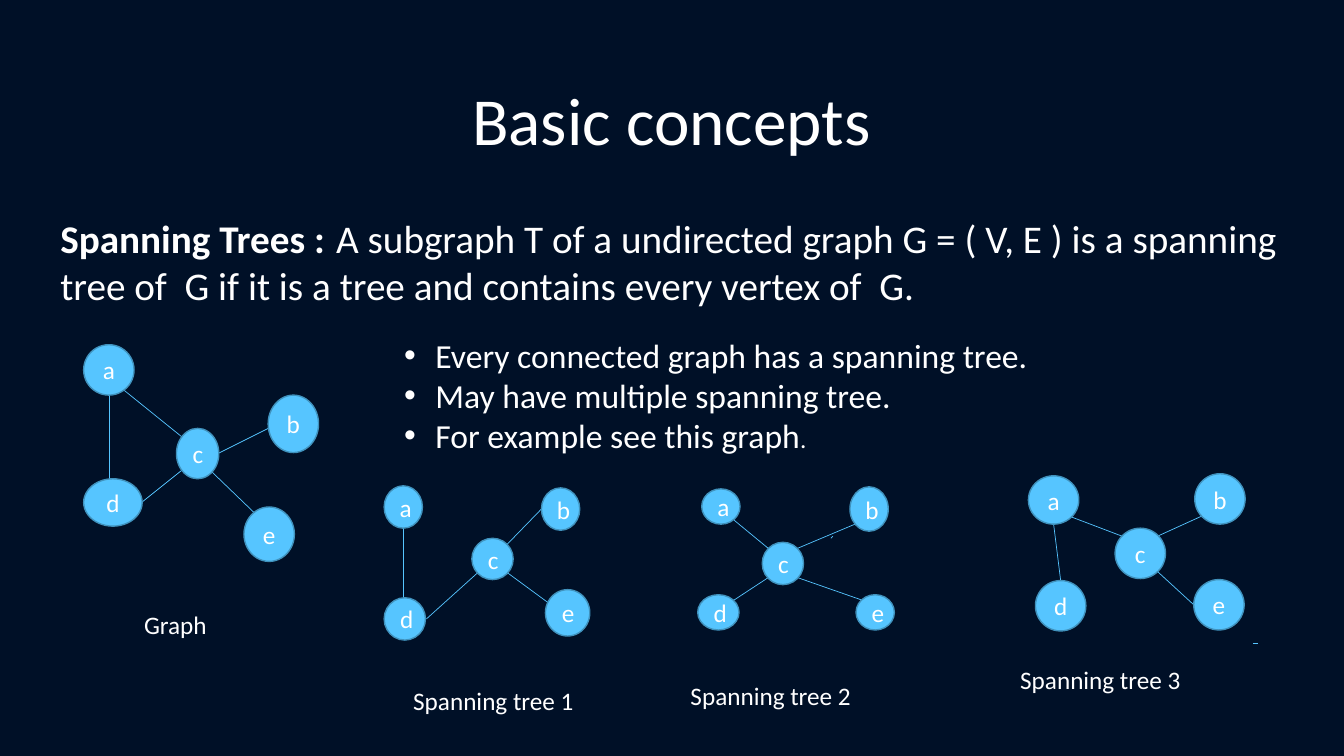
from lxml import etree
from pptx import Presentation
from pptx.dml.color import RGBColor
from pptx.enum.shapes import MSO_CONNECTOR, MSO_SHAPE
from pptx.enum.text import MSO_ANCHOR, PP_ALIGN
from pptx.oxml.ns import qn
from pptx.util import Inches, Pt

COLORS = {"background": "001027", "node": "56C5FF", "outline": "4092BD", "text": "FFFFFF"}
COLORS = {name: RGBColor.from_string(value) for name, value in COLORS.items()}


def write(para, text, size=18, bold=False, align=PP_ALIGN.LEFT):
    para.alignment = align
    span = para.add_run()
    span.text = text
    span.font.name = "Calibri"
    span.font.size = Pt(size)
    span.font.bold = bold
    span.font.color.rgb = COLORS["text"]


def add_box(left, top, width, height):
    box = page.shapes.add_textbox(*map(Inches, (left, top, width, height)))
    box.text_frame.word_wrap = True
    return box.text_frame


deck = Presentation()
deck.slide_width, deck.slide_height = Inches(13.33), Inches(7.5)
page = deck.slides.add_slide(deck.slide_layouts[6])
page.background.fill.solid()
page.background.fill.fore_color.rgb = COLORS["background"]

# Title and definition
write(add_box(3.87, 0.73, 5.58, 0.91).paragraphs[0], "Basic concepts",
      size=48, align=PP_ALIGN.CENTER)
definition = add_box(0.5, 2.08, 12.67, 1.04).paragraphs[0]
write(definition, "Spanning Trees :", size=28, bold=True)
write(definition, "  ")
write(definition, "A subgraph T of a undirected graph G = ( V, E ) is a spanning "
      "tree of  G if it is a tree and contains every vertex of  G.", size=28)

# Bulleted facts
facts = add_box(3.91, 3.27, 9.08, 1.31)
for index, fact in enumerate(["Every connected graph has a spanning tree.",
                              "May have multiple spanning tree.",
                              "For example see this graph"]):
    para = facts.add_paragraph() if index else facts.paragraphs[0]
    write(para, fact, size=24)
    properties = para._p.get_or_add_pPr()
    properties.set("marL", str(Inches(0.31)))
    properties.set("indent", str(Inches(-0.31)))
    etree.SubElement(properties, qn("a:buFont")).set("typeface", "Arial")
    etree.SubElement(properties, qn("a:buChar")).set("char", "•")
write(para, ".")

# Each diagram: caption, its box, node shape, nodes (left, top, width, height), edges (from, to)
DIAGRAMS = [
    ("Graph", (1.33, 6, 1.09, 0.4), MSO_SHAPE.OVAL,
     {"a": (0.83, 3.42, 0.5, 0.5), "b": (2.66, 3.92, 0.5, 0.57), "c": (1.75, 4.25, 0.42, 0.5),
      "d": (0.83, 4.75, 0.58, 0.47), "e": (2.42, 5.03, 0.5, 0.54)},
     [(1.08, 3.75, 1.91, 4.42), (1.08, 3.92, 1.08, 4.92), (1.41, 4.98, 1.91, 4.58),
      (2.16, 4.5, 2.66, 4.25), (2.1, 4.68, 2.66, 5.22)]),
    ("Spanning tree 1", (4, 6.75, 1.86, 0.4), MSO_SHAPE.FLOWCHART_CONNECTOR,
     {"a": (3.81, 4.82, 0.38, 0.42), "b": (5.37, 4.84, 0.38, 0.42), "c": (4.68, 5.34, 0.41, 0.41),
      "d": (3.81, 5.93, 0.41, 0.42), "e": (5.41, 5.85, 0.44, 0.46)},
     [(4, 5.22, 4, 6), (4.23, 6.14, 4.74, 5.68), (5.03, 5.4, 5.37, 5.05),
      (5.03, 5.68, 5.56, 6.07)]),
    ("Spanning tree 2", (6.75, 6.7, 2.38, 0.41), MSO_SHAPE.FLOWCHART_CONNECTOR,
     {"a": (6.96, 4.85, 0.38, 0.35), "b": (8.43, 4.83, 0.38, 0.44), "c": (7.56, 5.38, 0.41, 0.42),
      "d": (6.92, 5.9, 0.41, 0.35), "e": (8.49, 5.9, 0.38, 0.35)},
     [(7.28, 5.16, 7.62, 5.44), (8.24, 5.34, 8.26, 5.32), (7.91, 5.44, 8.48, 5.2),
      (7.27, 5.96, 7.62, 5.73), (7.91, 5.73, 8.54, 5.95)]),
    ("Spanning tree 3", (10.02, 6.54, 2.73, 0.4), MSO_SHAPE.FLOWCHART_CONNECTOR,
     {"a": (10.2, 4.72, 0.5, 0.48), "b": (11.85, 4.7, 0.5, 0.5), "c": (11.06, 5.24, 0.5, 0.5),
      "d": (10.27, 5.76, 0.5, 0.5), "e": (11.84, 5.75, 0.5, 0.5)},
     [(10.45, 5.2, 10.52, 5.76), (10.63, 5.13, 11.13, 5.32), (11.48, 5.32, 11.92, 5.12),
      (11.48, 5.67, 11.84, 6), (12.43, 6.38, 12.48, 6.38)]),
]

for caption, caption_box, node_shape, nodes, edges in DIAGRAMS:
    # Edges lie behind the nodes
    for ends in edges:
        edge = page.shapes.add_connector(MSO_CONNECTOR.STRAIGHT, *map(Inches, ends))
        edge.line.color.rgb = COLORS["node"]
        edge.line.width = Pt(0.5)
        etree.SubElement(edge._element.spPr, qn("a:effectLst"))

    for letter, place in nodes.items():
        node = page.shapes.add_shape(node_shape, *map(Inches, place))
        node.shadow.inherit = False
        node.fill.solid()
        node.fill.fore_color.rgb = COLORS["node"]
        node.line.color.rgb = COLORS["outline"]
        node.line.width = Pt(1)
        node.text_frame.vertical_anchor = MSO_ANCHOR.MIDDLE
        write(node.text_frame.paragraphs[0], letter, align=PP_ALIGN.CENTER)

    write(add_box(*caption_box).paragraphs[0], caption)

deck.save("out.pptx")
